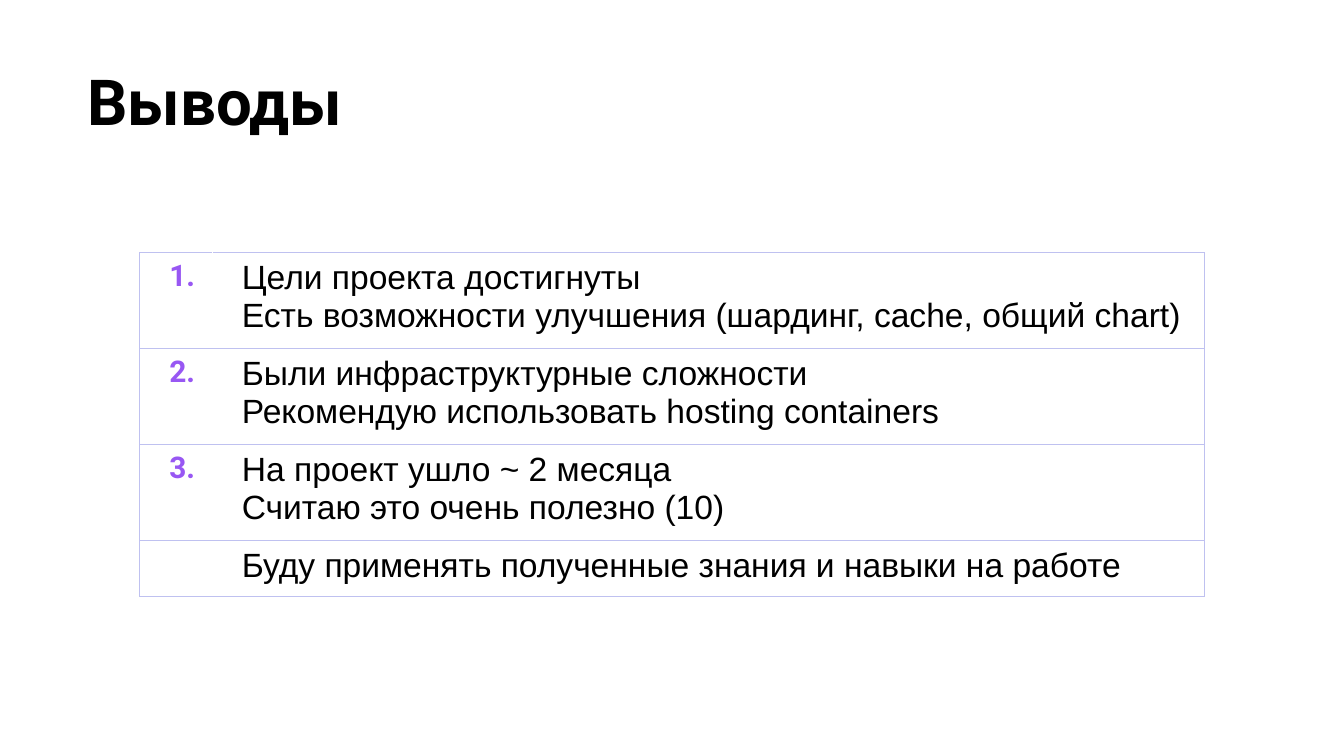
from lxml.etree import fromstring
from pptx import Presentation
from pptx.dml.color import RGBColor
from pptx.enum.text import MSO_ANCHOR, PP_ALIGN
from pptx.util import Inches, Pt

BLACK = RGBColor(0x00, 0x00, 0x00)
WHITE = RGBColor(0xFF, 0xFF, 0xFF)
PURPLE = RGBColor(0x98, 0x57, 0xF3)
LAVENDER = RGBColor(0xBF, 0xC1, 0xF0)

DRAWING = "http://schemas.openxmlformats.org/drawingml/2006/main"
BORDER_WIDTH = Pt(0.75)
COLUMN_WIDTHS = (0.54, 7.38)
TABLE_HEIGHT = 2.56
LAST_ROW_HEIGHT = 0.42
CONCLUSIONS = (
    ("1.", "Цели проекта достигнуты\nЕсть возможности улучшения (шардинг, cache, общий chart)"),
    ("2.", "Были инфраструктурные сложности\nРекомендую использовать hosting containers"),
    ("3.", "На проект ушло ~ 2 месяца\nСчитаю это очень полезно (10)"),
    ("", "Буду применять полученные знания и навыки на работе"),
)


def format_text(text_frame, font_name, size, color, bold):
    for para in text_frame.paragraphs:
        para.alignment = PP_ALIGN.LEFT
        for span in para.runs:
            span.font.name = font_name
            span.font.size = Pt(size)
            span.font.bold = bold
            span.font.color.rgb = color


def add_title(page, text):
    title = page.shapes.title
    title.left, title.top = Inches(0.55), Inches(0.36)
    title.width, title.height = Inches(9.32), Inches(1.2)
    frame = title.text_frame
    frame.text = text
    frame.vertical_anchor = MSO_ANCHOR.TOP
    frame.margin_left = frame.margin_right = Inches(0.1)
    frame.margin_top = frame.margin_bottom = Inches(0.1)
    format_text(frame, "Roboto", 34, BLACK, True)


def set_borders(cell, left, right, top, bottom):
    properties = cell._tc.get_or_add_tcPr()
    sides = zip(("lnL", "lnR", "lnT", "lnB"), (left, right, top, bottom))
    for position, (tag, color) in enumerate(sides):
        properties.insert(position, fromstring(
            f'<a:{tag} xmlns:a="{DRAWING}" w="{BORDER_WIDTH}">'
            f'<a:solidFill><a:srgbClr val="{color}"/></a:solidFill></a:{tag}>'
        ))


def fill_cell(cell, text, font_name, size, color, bold):
    cell.text_frame.text = text
    cell.fill.background()
    cell.vertical_anchor = MSO_ANCHOR.TOP
    cell.margin_left, cell.margin_right = Inches(0.22), Inches(0.1)
    cell.margin_top = cell.margin_bottom = Inches(0.05)
    format_text(cell.text_frame, font_name, size, color, bold)


def add_conclusions(page):
    table = page.shapes.add_table(
        len(CONCLUSIONS), len(COLUMN_WIDTHS), Inches(1.04), Inches(1.88),
        Inches(sum(COLUMN_WIDTHS)), Inches(TABLE_HEIGHT),
    ).table
    table.first_row = table.horz_banding = False
    for column, width in zip(table.columns, COLUMN_WIDTHS):
        column.width = Inches(width)
    full_rows = len(CONCLUSIONS) - 1
    full_height = (TABLE_HEIGHT - LAST_ROW_HEIGHT) / full_rows
    row_heights = [full_height] * full_rows + [LAST_ROW_HEIGHT]
    for row, height, (number, text) in zip(table.rows, row_heights, CONCLUSIONS):
        row.height = Inches(height)
        number_cell, text_cell = row.cells
        fill_cell(number_cell, number, "Roboto", 16, PURPLE, True)
        fill_cell(text_cell, text, "Arial", 18, BLACK, False)
        set_borders(number_cell, LAVENDER, WHITE, LAVENDER, LAVENDER)
        set_borders(text_cell, WHITE, LAVENDER, LAVENDER, LAVENDER)


def main():
    deck = Presentation()
    deck.slide_width = Inches(10)
    deck.slide_height = deck.slide_width * 9 // 16
    page = deck.slides.add_slide(deck.slide_layouts[5])
    add_title(page, "Выводы")
    add_conclusions(page)
    deck.save("out.pptx")


if __name__ == "__main__":
    main()
